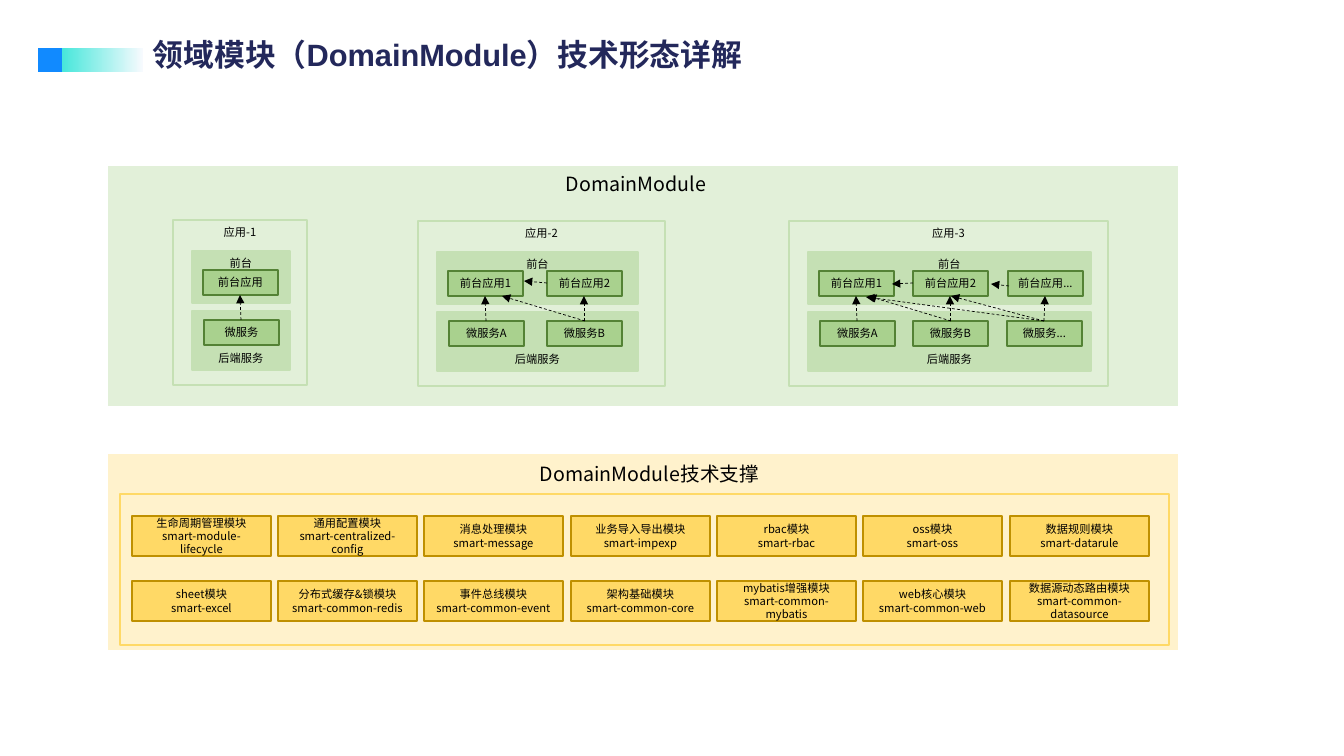
from lxml.etree import SubElement
from pptx import Presentation
from pptx.dml.color import RGBColor
from pptx.enum.dml import MSO_LINE
from pptx.enum.shapes import MSO_CONNECTOR, MSO_SHAPE
from pptx.enum.text import MSO_ANCHOR, MSO_AUTO_SIZE, PP_ALIGN
from pptx.oxml.ns import qn
from pptx.util import Emu, Pt

EMU_PER_INCH = 914400
PX_PER_INCH = 100.8
BODY_FONT = "Noto Sans CJK SC"
TITLE_FONT = "Arial"

BLACK = RGBColor(0x00, 0x00, 0x00)
WHITE = RGBColor(0xFF, 0xFF, 0xFF)
NAVY = RGBColor(0x23, 0x28, 0x5B)
BLUE = RGBColor(0x11, 0x8A, 0xFF)
TURQUOISE = RGBColor(0x47, 0xE7, 0xDB)
ICE = RGBColor(0xF7, 0xFA, 0xFE)
PALE_GREEN = RGBColor(0xE2, 0xF0, 0xD9)
LIGHT_GREEN = RGBColor(0xC5, 0xE0, 0xB4)
GREEN = RGBColor(0xA9, 0xD1, 0x8E)
DARK_GREEN = RGBColor(0x54, 0x82, 0x35)
PALE_GOLD = RGBColor(0xFF, 0xF2, 0xCC)
GOLD = RGBColor(0xFF, 0xD9, 0x66)
DARK_GOLD = RGBColor(0xBF, 0x90, 0x00)

# name, left, top, width, tier width, front app lefts, service lefts, front apps, services
APPLICATIONS = [
    ("应用-1", 173, 220, 134, 98, [203], [204], ["前台应用"], ["微服务"]),
    ("应用-2", 418, 221, 247, 201, [448, 547], [449, 547],
     ["前台应用1", "前台应用2"], ["微服务A", "微服务B"]),
    ("应用-3", 789, 221, 319, 283, [819, 913, 1008], [820, 913, 1007],
     ["前台应用1", "前台应用2", "前台应用..."], ["微服务A", "微服务B", "微服务..."]),
]
CROSS_CALLS = [
    ((585, 321), (502, 296)),
    ((547, 283), (524, 281)),
    ((951, 321), (868, 296)),
    ((1044, 321), (866, 297)),
    ((1044, 321), (951, 296)),
    ((913, 283), (892, 284)),
    ((1009, 286), (991, 284)),
]
MODULE_ROWS = [
    [("生命周期管理模块", "smart-module-lifecycle"),
     ("通用配置模块", "smart-centralized-config"),
     ("消息处理模块", "smart-message"),
     ("业务导入导出模块", "smart-impexp"),
     ("rbac模块", "smart-rbac"),
     ("oss模块", "smart-oss"),
     ("数据规则模块", "smart-datarule")],
    [("sheet模块", "smart-excel"),
     ("分布式缓存&锁模块", "smart-common-redis"),
     ("事件总线模块", "smart-common-event"),
     ("架构基础模块", "smart-common-core"),
     ("mybatis增强模块", "smart-common-mybatis"),
     ("web核心模块", "smart-common-web"),
     ("数据源动态路由模块", "smart-common-datasource")],
]


def px(length):
    return Emu(round(length * EMU_PER_INCH / PX_PER_INCH))


def format_text(frame, size, font=BODY_FONT, color=BLACK, bold=False, align=None):
    for para in frame.paragraphs:
        para.alignment = align
        for span in para.runs:
            span.font.size = Pt(size)
            span.font.name = font
            span.font.bold = bold
            span.font.color.rgb = color
            east_asian = SubElement(span.font._element, qn("a:ea"))
            east_asian.set("typeface", BODY_FONT)


def add_box(slide, left, top, width, height, fill, line=None, text="",
            anchor=MSO_ANCHOR.MIDDLE):
    box = slide.shapes.add_shape(
        MSO_SHAPE.RECTANGLE, px(left), px(top), px(width), px(height))
    box.shadow.inherit = False
    box.fill.solid()
    box.fill.fore_color.rgb = fill
    if line is None:
        box.line.fill.background()
    else:
        box.line.color.rgb = line
        box.line.width = Pt(1)
    if text:
        frame = box.text_frame
        frame.text = text
        frame.word_wrap = True
        frame.vertical_anchor = anchor
        format_text(frame, 8, align=PP_ALIGN.CENTER)
    return box


def add_heading(slide, left, top, width, height, text, size, **style):
    frame = slide.shapes.add_textbox(
        px(left), px(top), px(width), px(height)).text_frame
    frame.text = text
    frame.word_wrap = True
    frame.auto_size = MSO_AUTO_SIZE.SHAPE_TO_FIT_TEXT
    format_text(frame, size, **style)


def add_call_arrow(slide, start, end):
    arrow = slide.shapes.add_connector(
        MSO_CONNECTOR.STRAIGHT, *map(px, start + end))
    arrow.line.color.rgb = BLACK
    arrow.line.width = Pt(0.5)
    arrow.line.dash_style = MSO_LINE.DASH
    SubElement(arrow.line._get_or_add_ln(), qn("a:tailEnd")).set("type", "triangle")
    SubElement(arrow._element.spPr, qn("a:effectLst"))


def add_application(slide, name, left, top, width, tier_width,
                    front_lefts, service_lefts, front_apps, services):
    """Draw one application: a front tier above a service tier, joined by arrows."""
    add_box(slide, left, top, width, 165, PALE_GREEN, LIGHT_GREEN, name, MSO_ANCHOR.TOP)
    add_box(slide, left + 19, top + 31, tier_width, 52, LIGHT_GREEN, LIGHT_GREEN,
            "前台", MSO_ANCHOR.TOP)
    add_box(slide, left + 19, top + 91, tier_width, 59, LIGHT_GREEN, LIGHT_GREEN,
            "后端服务", MSO_ANCHOR.BOTTOM)
    for front_left, service_left, front_app, service in zip(
            front_lefts, service_lefts, front_apps, services):
        add_box(slide, service_left, top + 100, 75, 25, GREEN, DARK_GREEN, service)
        add_box(slide, front_left, top + 50, 75, 25, GREEN, DARK_GREEN, front_app)
        add_call_arrow(slide, (service_left + 37, top + 100), (front_left + 37, top + 75))


def add_title_mark(slide):
    add_box(slide, 38, 48, 24, 24, BLUE)
    band = add_box(slide, 62, 48, 81, 24, TURQUOISE)
    band.fill.gradient()
    band.fill.gradient_angle = 0
    for stop, color in zip(band.fill.gradient_stops, (TURQUOISE, ICE)):
        stop.color.rgb = color


def add_module_grid(slide):
    for row, modules in enumerate(MODULE_ROWS):
        for column, labels in enumerate(modules):
            add_box(slide, 132 + column * 878 // 6, 516 + row * 65, 139, 40,
                    GOLD, DARK_GOLD, "\n".join(labels))


def main():
    deck = Presentation()
    deck.slide_width, deck.slide_height = px(1344), px(756)
    page = deck.slides.add_slide(deck.slide_layouts[6])

    add_title_mark(page)
    add_heading(page, 143, 31, 877, 47, "领域模块（DomainModule）技术形态详解", 22,
                font=TITLE_FONT, color=NAVY, bold=True)

    add_box(page, 107, 165, 1072, 242, PALE_GREEN, WHITE)
    add_heading(page, 556, 167, 252, 34, "DomainModule", 14)
    for application in APPLICATIONS:
        add_application(page, *application)
    for start, end in CROSS_CALLS:
        add_call_arrow(page, start, end)

    add_box(page, 107, 453, 1072, 198, PALE_GOLD, WHITE)
    add_box(page, 120, 494, 1049, 151, PALE_GOLD, GOLD)
    add_heading(page, 530, 457, 281, 34, "DomainModule技术支撑", 14)
    add_module_grid(page)

    deck.save("out.pptx")


if __name__ == "__main__":
    main()
